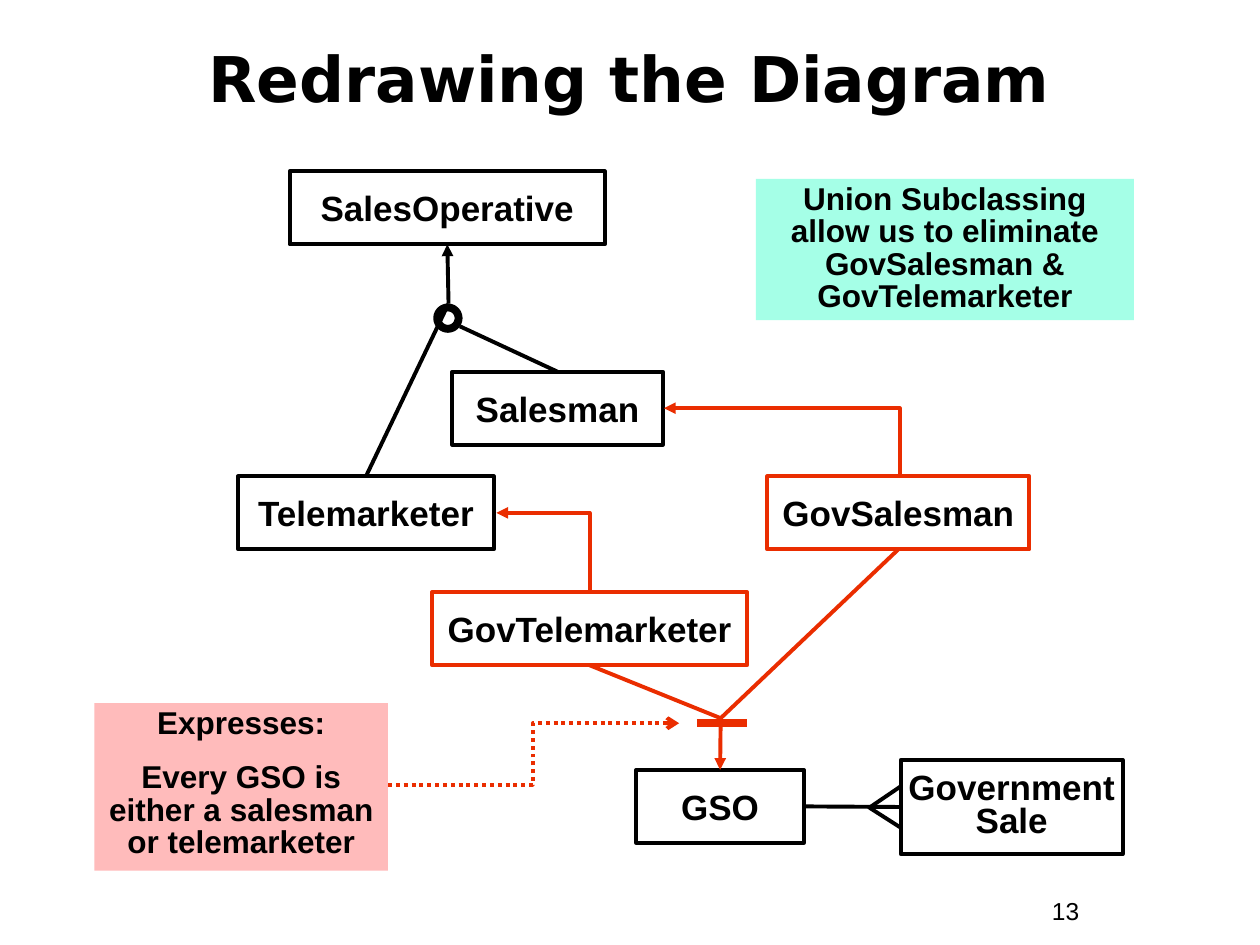
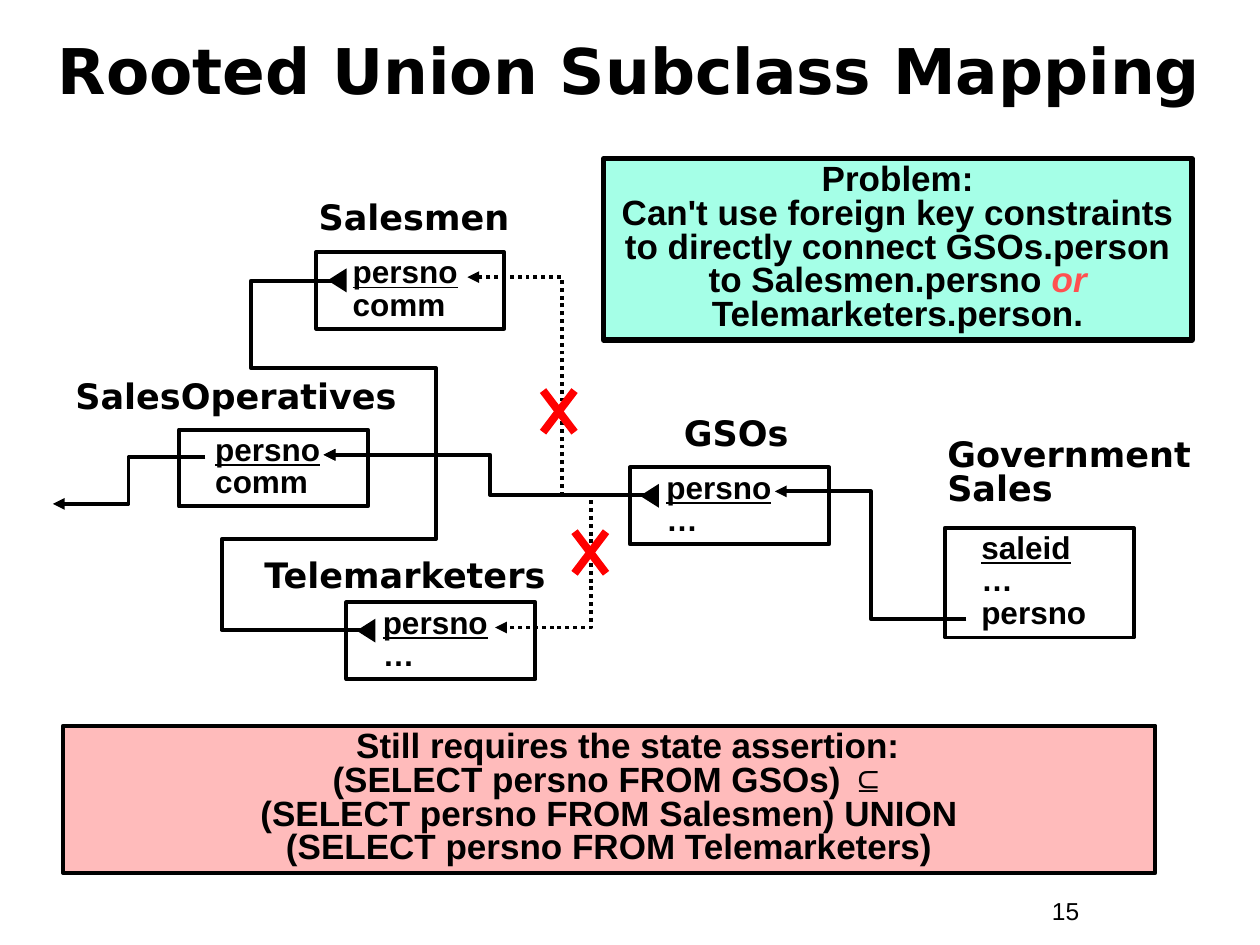
from collections import namedtuple

from lxml import etree
from pptx import Presentation
from pptx.dml.color import RGBColor
from pptx.enum.dml import MSO_LINE
from pptx.enum.shapes import MSO_CONNECTOR, MSO_SHAPE
from pptx.enum.text import MSO_ANCHOR, PP_ALIGN
from pptx.oxml.ns import qn
from pptx.util import Inches, Pt

COLUMNS, ROWS = 100, 75
WIDTH, HEIGHT = Inches(10), Inches(7.5)
BLACK, ORANGE, RED, CORAL = "000000", "EA2D00", "FF0000", "FF5050"
MINT, PINK = "A5FFE7", "FFBBBB"
BODY_FONT, HEADING_FONT = "Arial", "DejaVu Sans"
LEFT, CENTER = PP_ALIGN.LEFT, PP_ALIGN.CENTER
TOP, MIDDLE = MSO_ANCHOR.TOP, MSO_ANCHOR.MIDDLE
STRAIGHT, ELBOW = MSO_CONNECTOR.STRAIGHT, MSO_CONNECTOR.ELBOW
RECTANGLE, OVAL, TRIANGLE = MSO_SHAPE.RECTANGLE, MSO_SHAPE.OVAL, MSO_SHAPE.ISOSCELES_TRIANGLE
DOTS = MSO_LINE.ROUND_DOT
TOP_SIDE, LEFT_SIDE, BOTTOM_SIDE, RIGHT_SIDE = range(4)

Side = namedtuple("Side", "box site")


def rgb(color):
    return RGBColor.from_string(color)


def col(number):
    return round(WIDTH * number / COLUMNS)


def row(number):
    return round(HEIGHT * number / ROWS)


def place(area):
    x, y, w, h = area
    return col(x), row(y), col(w), row(h)


def write(frame, lines, size, font=BODY_FONT, bold=True, align=LEFT,
          anchor=TOP, spacing=1.0, wrap=True):
    """Fill a frame with one paragraph per line; a line may be a tuple of runs."""
    frame.word_wrap = wrap
    frame.vertical_anchor = anchor
    for index, line in enumerate(lines):
        paragraph = frame.paragraphs[0] if index == 0 else frame.add_paragraph()
        paragraph.alignment = align
        paragraph.line_spacing = spacing
        for text in (line,) if isinstance(line, str) else line:
            run = paragraph.add_run()
            run.text = text
            run.font.size = Pt(size)
            run.font.name = font
            run.font.bold = bold
            run.font.color.rgb = rgb(BLACK)
    return frame


def add_text(slide, area, lines, size, **style):
    return write(slide.shapes.add_textbox(*place(area)).text_frame, lines, size, **style)


def add_outline(slide, kind, area, fill=None, line=None, weight=2.25):
    shape = slide.shapes.add_shape(kind, *place(area))
    shape.shadow.inherit = False
    if fill:
        shape.fill.solid()
        shape.fill.fore_color.rgb = rgb(fill)
    else:
        shape.fill.background()
    if line:
        shape.line.color.rgb = rgb(line)
        shape.line.width = Pt(weight)
    else:
        shape.line.fill.background()
    return shape


def add_class(slide, area, *lines, color=BLACK):
    box = add_outline(slide, RECTANGLE, area, line=color)
    write(box.text_frame, lines, 20, align=CENTER, anchor=MIDDLE,
          spacing=0.8 if len(lines) > 1 else 1.0, wrap=False)
    return box


def add_note(slide, area, fill, lines, size, spacing, line=None, weight=2.25):
    note = add_outline(slide, RECTANGLE, area, fill, line, weight)
    return write(note.text_frame, lines, size, align=CENTER, spacing=spacing)


def add_relation(slide, area, fields, name, name_area):
    """A table box with its key underlined, and its name above it."""
    box = add_outline(slide, RECTANGLE, area, line=BLACK)
    frame = write(box.text_frame, fields, 18, spacing=0.85)
    for paragraph in frame.paragraphs:
        set_indent(paragraph, 0.19)
    frame.paragraphs[0].runs[0].font.underline = True
    add_text(slide, name_area, name, 20, font=HEADING_FONT,
             spacing=0.8 if len(name) > 1 else 1.0)


def set_indent(paragraph, inches):
    properties = paragraph._p.get_or_add_pPr()
    properties.set("marL", str(Inches(inches)))
    properties.set("indent", "0")


def add_line(slide, start, end, color=BLACK, weight=2.25, kind=STRAIGHT,
             dash=None, head=None, tail=None):
    """Draw from start to end; each is a grid point or the Side of a box."""
    points = [(0, 0) if isinstance(p, Side) else (col(p[0]), row(p[1])) for p in (start, end)]
    line = slide.shapes.add_connector(kind, *points[0], *points[1])
    if isinstance(start, Side):
        line.begin_connect(*start)
    if isinstance(end, Side):
        line.end_connect(*end)
    line.line.color.rgb = rgb(color)
    line.line.width = Pt(weight)
    if dash:
        line.line.dash_style = dash
    properties = line._element.spPr
    for tag, arrow in (("a:headEnd", head), ("a:tailEnd", tail)):
        if arrow:
            etree.SubElement(properties.find(qn("a:ln")), qn(tag), type=arrow)
    etree.SubElement(properties, qn("a:effectLst"))
    return line


def add_elbow(slide, start, bend, end, **style):
    """Run level to the column of the bend, then upright, then level to the end."""
    line = add_line(slide, start, end, kind=ELBOW, **style)
    geometry = line._element.spPr.find(qn("a:prstGeom"))
    share = round(100000 * (bend - start[0]) / (end[0] - start[0]))
    guides = geometry.find(qn("a:avLst"))
    if guides is None:
        guides = etree.SubElement(geometry, qn("a:avLst"))
    etree.SubElement(guides, qn("a:gd"), name="adj1", fmla=f"val {share}")
    return line


def add_corner(slide, start, end, **style):
    """Run level from the start, then upright to the end."""
    line = add_line(slide, start, end, kind=ELBOW, **style)
    line._element.spPr.find(qn("a:prstGeom")).set("prst", "bentConnector2")


def add_cross(slide, x, y):
    w, h = 2.5, 3.3
    add_line(slide, (x, y), (x + w, y + h), RED, 4.5)
    add_line(slide, (x + w, y), (x, y + h), RED, 4.5)


def add_slide(deck, title, title_row, number):
    slide = deck.slides.add_slide(deck.slide_layouts[6])
    add_text(slide, (82.5, 70.6, 9.2, 3.4), [number], 14, bold=False)
    add_text(slide, (3.3, title_row, 93.3, 9.2), [title], 36, font=HEADING_FONT,
             align=CENTER, anchor=MIDDLE)
    return slide


def draw_diagram(deck):
    slide = add_slide(deck, "Redrawing the Diagram", 1.5, "13")
    height = 5.8
    operative = add_class(slide, (23, 13.6, 25, height), "SalesOperative")
    salesman = add_class(slide, (35.9, 29.5, 16.7, height), "Salesman")
    telemarketer = add_class(slide, (18.9, 37.8, 20.3, height), "Telemarketer")
    gov_telemarketer = add_class(slide, (34.3, 47, 25, height), "GovTelemarketer", color=ORANGE)
    gov_salesman = add_class(slide, (60.9, 37.8, 20.8, height), "GovSalesman", color=ORANGE)
    gso = add_class(slide, (50.5, 61.1, 13.3, height), "GSO")
    sale = add_class(slide, (71.5, 60.3, 17.6, 7.5), "Government", "Sale")

    junction = (35.6, 24.1)
    add_line(slide, Side(telemarketer, TOP_SIDE), junction)
    add_line(slide, Side(salesman, TOP_SIDE), (36.5, 25.9))
    add_outline(slide, OVAL, (34.7, 24.4, 1.7, 1.7), line=BLACK, weight=4.5)
    add_line(slide, junction, Side(operative, BOTTOM_SIDE), tail="triangle")

    add_corner(slide, (52.7, 32.4), (71.4, 37.7), color=ORANGE, head="triangle")
    add_corner(slide, (39.4, 40.7), (46.8, 46.8), color=ORANGE, head="triangle")
    union = (57.2, 57)
    for subclass in (gov_telemarketer, gov_salesman):
        add_line(slide, Side(subclass, BOTTOM_SIDE), union, ORANGE)
    add_line(slide, (55.3, 57.4), (59.3, 57.4), ORANGE, 4.5)
    add_line(slide, union, Side(gso, TOP_SIDE), ORANGE, tail="triangle")

    add_line(slide, Side(sale, LEFT_SIDE), Side(gso, RIGHT_SIDE))
    for toe in (62.4, 65.7):
        add_line(slide, (69, 64.1), (71.5, toe))

    expresses = add_note(slide, (7.5, 55.8, 23.3, 13.3), PINK,
                         ["Expresses:", "Every GSO is either a salesman or telemarketer"], 18, 0.85)
    expresses.paragraphs[1].space_before = Pt(12.5)
    add_elbow(slide, (30.8, 62.3), 42.3, (53.9, 57.4), color=ORANGE, dash=DOTS, tail="arrow")
    add_note(slide, (60, 14.2, 30, 11.2), MINT,
             ["Union Subclassing allow us to eliminate GovSalesman & GovTelemarketer"], 18, 0.85)


def draw_mapping(deck):
    slide = add_slide(deck, "Rooted Union Subclass Mapping", 0.9, "15")
    relations = [
        ((25.1, 20, 14.9, 6.1), ["persno", "comm"], ["Salesmen"], (24.3, 15, 21.5, 4.4)),
        ((27.5, 47.8, 15, 6.1), ["persno", "…"], ["Telemarketers"], (20, 43.4, 25, 4.4)),
        ((50, 37.1, 15.8, 6.1), ["persno", "…"], ["GSOs"], (53.3, 32.2, 13.3, 4.4)),
        ((75, 41.9, 15, 8.7), ["saleid", "…", "persno"], ["Government", "Sales"],
         (74.2, 34.5, 23.3, 6.4)),
        ((14.2, 34.1, 15, 6.1), ["persno", "comm"], ["SalesOperatives"], (5, 29.2, 28.3, 4.4)),
    ]
    for relation in relations:
        add_relation(slide, *relation)

    problem = add_note(slide, (47.9, 12.6, 46.7, 14.4), MINT, [
        "Problem:",
        ("Can't use foreign key constraints to directly connect GSOs.person "
         "to Salesmen.persno ", "or", " Telemarketers.person."),
    ], 20, 0.8, BLACK, 3)
    either = problem.paragraphs[1].runs[1].font
    either.italic = True
    either.color.rgb = rgb(CORAL)

    gso_key, operative_key = (52.1, 39.3), (25.7, 36.1)
    references = [
        ((76.7, 49.1), 69.1, (61.5, 39)),
        ((16.3, 36.3), 10.2, (4.2, 40)),
        ((31.3, 29.2), 34.6, operative_key),
        ((31.3, 42.8), 34.6, operative_key),
        (gso_key, 38.9, operative_key),
    ]
    for start, bend, end in references:
        add_elbow(slide, start, bend, end, tail="triangle")
    add_elbow(slide, (27.2, 22.3), 19.9, (31.3, 29.2))
    add_elbow(slide, (29.6, 50), 17.6, (31.3, 42.8))
    for bend, end in ((44.6, (37.1, 22)), (46.9, (39.3, 49.8))):
        add_elbow(slide, gso_key, bend, end, dash=DOTS, tail="triangle")
    add_cross(slide, 45.6, 42.2)
    add_cross(slide, 43.1, 31)

    assertion = add_note(slide, (5, 57.6, 86.7, 11.7), PINK, [
        "Still requires the state assertion:",
        "(SELECT persno FROM GSOs) ⊆",
        "(SELECT persno FROM Salesmen) UNION",
        "(SELECT persno FROM Telemarketers)",
    ], 20, 0.8, BLACK)
    set_indent(assertion.paragraphs[0], 0.3)

    for x, y in ((25.8, 21.5), (28.1, 49.3), (50.6, 38.6)):
        add_outline(slide, TRIANGLE, (x, y, 1.9, 1.5), fill=BLACK).rotation = 270


def main():
    deck = Presentation()
    deck.slide_width, deck.slide_height = WIDTH, HEIGHT
    draw_diagram(deck)
    draw_mapping(deck)
    deck.save("out.pptx")


if __name__ == "__main__":
    main()
